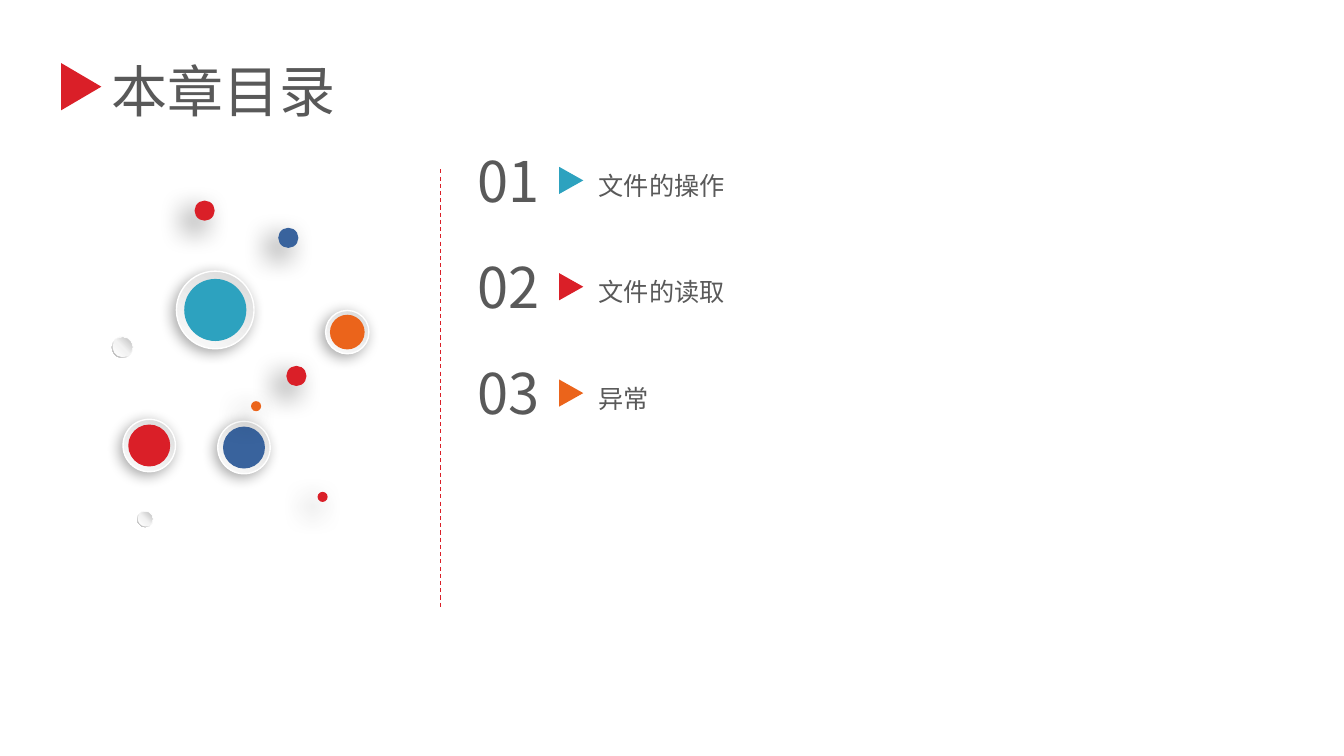
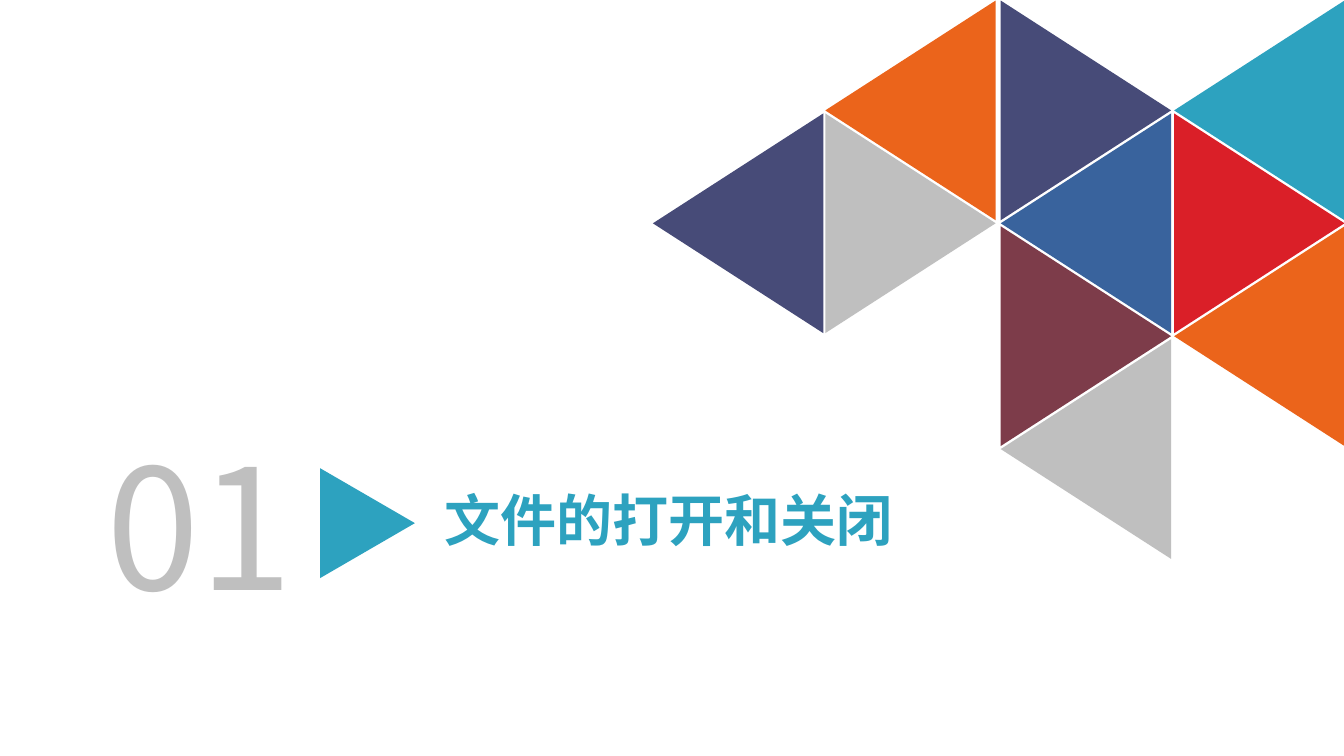
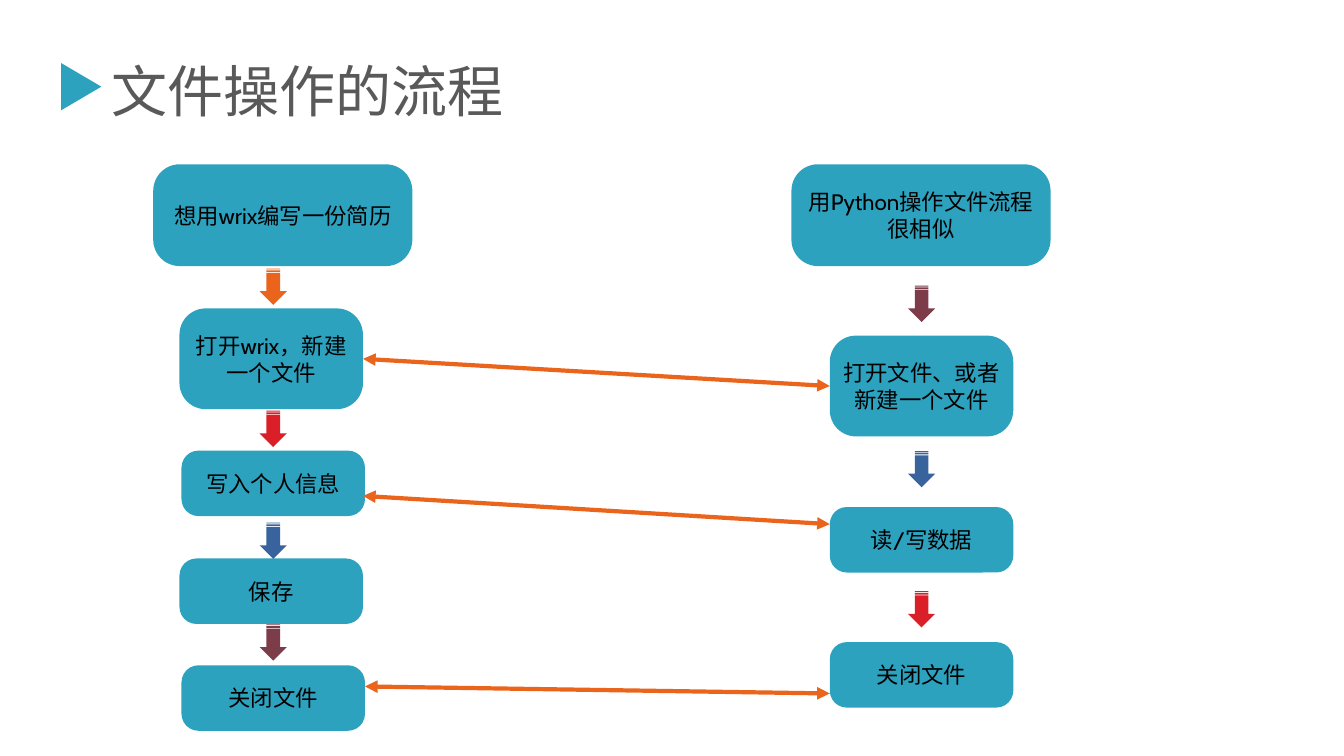
from dataclasses import dataclass
from typing import NamedTuple, Optional

from lxml.etree import SubElement
from pptx import Presentation
from pptx.dml.color import RGBColor
from pptx.enum.dml import MSO_LINE
from pptx.enum.shapes import MSO_CONNECTOR, MSO_SHAPE as Geo
from pptx.enum.text import MSO_ANCHOR as Anchor, MSO_AUTO_SIZE as Fit, PP_ALIGN as Align
from pptx.oxml.ns import qn
from pptx.util import Inches, Pt


# Theme: colours, fonts and type sizes
@dataclass(frozen=True)
class Theme:
    teal: str = "2DA2BF"
    red: str = "DA1F28"
    orange: str = "EB641B"
    blue: str = "39639D"
    navy: str = "474B78"
    wine: str = "7D3C4A"
    silver: str = "BFBFBF"
    gray: str = "595959"
    black: str = "000000"
    white: str = "FFFFFF"
    sans: str = "Noto Sans CJK SC"
    body: str = "Cabin"
    head: int = 40
    item: int = 18
    node: int = 16
    huge: int = 120


T = Theme()
RING = ((0, "D9D9D9"), (100, "FCFCFC"))
RIM = ((0, "FFFFFF"), (55, "F2F2F2"), (100, "A6A6A6"))
PEARL = ((0, "FFFFFF"), (51, "F2F2F2"), (100, "BFBFBF"))


class Shade(NamedTuple):
    alpha: int
    blur: int
    dist: int
    angle: int


class Box(NamedTuple):
    x: float
    y: float
    w: float
    h: float


class Ball(NamedTuple):
    x: float
    y: float
    size: float
    color: str


class Tile(NamedTuple):
    col: int
    row: int
    turn: int
    color: str


class Node(NamedTuple):
    box: Box
    text: str


class Step(NamedTuple):
    x: float
    y: float
    color: str


SOFT = Shade(34, 10, 3, 136)
DEEP = Shade(60, 20, 10, 135)


# Drawing helpers
def rgb(color: str) -> RGBColor:
    return RGBColor.from_string(color)


def shape(slide, geo, box: Box, color: Optional[str] = None, turn: int = 0):
    item = slide.shapes.add_shape(geo, *map(Inches, box))
    item.rotation = turn
    item.shadow.inherit = False
    item.line.fill.background()
    if color:
        item.fill.solid()
        item.fill.fore_color.rgb = rgb(color)
    return item


def blend(item, stops, angle: int) -> None:
    item.fill.gradient()
    item.fill.gradient_angle = 360 - angle
    stack = item._element.spPr.find(".//" + qn("a:gsLst"))
    stack.clear()
    for spot, color in stops:
        stop = SubElement(stack, qn("a:gs"), pos=str(spot * 1000))
        SubElement(stop, qn("a:srgbClr"), val=color)


def shade(item, look: Shade) -> None:
    glow = SubElement(
        item._element.spPr.find(qn("a:effectLst")), qn("a:outerShdw"),
        blurRad=str(Pt(look.blur)), dist=str(Pt(look.dist)),
        dir=str(look.angle * 60000), algn="ctr", rotWithShape="0")
    tint = SubElement(glow, qn("a:srgbClr"), val=T.black)
    SubElement(tint, qn("a:alpha"), val=str(look.alpha * 1000))


def write(frame, text: str, size: int, color: str, face: str = T.sans,
          bold: bool = False, align=Align.LEFT):
    frame.word_wrap = True
    para = frame.paragraphs[0]
    para.text = text
    para.alignment = align
    font = para.font
    font.size, font.bold, font.name = Pt(size), bold, face
    font.color.rgb = rgb(color)
    # East Asian glyphs need their own typeface entry
    SubElement(para._p.pPr.find(qn("a:defRPr")), qn("a:ea"), typeface=T.sans)
    return para


def label(slide, box: Box, text: str, size: int, color: str = T.gray, **style):
    frame = slide.shapes.add_textbox(*map(Inches, box)).text_frame
    para = write(frame, text, size, color, **style)
    frame.auto_size = Fit.SHAPE_TO_FIT_TEXT
    return para


def line(slide, start, end, color: str, width: float):
    rule = slide.shapes.add_connector(
        MSO_CONNECTOR.STRAIGHT, *map(Inches, (*start, *end)))
    rule.line.color.rgb = rgb(color)
    rule.line.width = Pt(width)
    SubElement(rule._element.spPr, qn("a:effectLst"))
    return rule


def play(slide, box: Box, color: str) -> None:
    shape(slide, Geo.ISOSCELES_TRIANGLE, box, color, 90)


def title(slide, text: str, width: float, color: str) -> None:
    label(slide, Box(1.01, 0.51, width, 0.77), text, T.head)
    play(slide, Box(0.57, 0.66, 0.47, 0.4), color)


# Contents slide
TOPICS = (("文件的操作", T.teal), ("文件的读取", T.red), ("异常", T.orange))
DISCS = (Ball(1.75, 2.69, 0.77, T.teal), Ball(1.22, 4.16, 0.52, T.red),
         Ball(2.16, 4.18, 0.52, T.blue), Ball(3.23, 3.08, 0.43, T.orange))
DOTS = (Ball(2.84, 3.63, 0.2, T.red), Ball(2.76, 2.26, 0.2, T.blue),
        Ball(3.15, 4.88, 0.1, T.red), Ball(1.93, 1.99, 0.2, T.red),
        Ball(2.49, 3.98, 0.1, T.orange))
BEADS = ((1.36, 5.07, 0.16), (1.11, 3.34, 0.21))


def inner(x: float, y: float, size: float, gap: float) -> Box:
    return Box(x + gap, y + gap, size - 2 * gap, size - 2 * gap)


def disc(slide, ball: Ball) -> None:
    x, y, size, color = ball
    ring = shape(slide, Geo.OVAL, Box(x, y, size, size))
    blend(ring, RING, 120)
    ring.line.color.rgb = rgb(T.white)
    ring.line.width = Pt(1)
    shade(ring, SOFT)
    shape(slide, Geo.OVAL, inner(x, y, size, size * 0.1), color)


def bead(slide, x: float, y: float, size: float) -> None:
    rim = shape(slide, Geo.DONUT, Box(x, y, size, size))
    rim.adjustments[0] = 0.05
    blend(rim, RIM, 135)
    blend(shape(slide, Geo.OVAL, inner(x, y, size, 0.01)), PEARL, 315)


def contents(slide) -> None:
    for i, (text, color) in enumerate(TOPICS):
        y = 1.4 + 1.055 * i
        play(slide, Box(5.53, y + 0.27, 0.27, 0.24), color)
        label(slide, Box(4.64, y, 0.9, 0.77), f"{i + 1:02}", T.head)
        para = label(slide, Box(5.84, y + 0.09, 4.51, 0.5), text, T.item)
        para.line_spacing = 1.5
        para.space_before = Pt(6)
    title(slide, "本章目录", 3.26, T.red)
    for ball in DISCS:
        disc(slide, ball)
    for spot in BEADS:
        bead(slide, *spot)
    for x, y, size, color in DOTS:
        shade(shape(slide, Geo.OVAL, Box(x, y, size, size), color), DEEP)
    rule = line(slide, (4.37, 1.68), (4.37, 6.04), T.red, 0.75)
    rule.line.dash_style = MSO_LINE.DASH


# Section slide
RIGHT, LEFT = 90, 270
COLS = (6.23, 7.94, 9.68, 11.4)
TILES = (
    Tile(3, 0, LEFT, T.teal), Tile(3, 1, RIGHT, T.red),
    Tile(3, 2, LEFT, T.orange), Tile(2, 0, RIGHT, T.navy),
    Tile(2, 1, LEFT, T.blue), Tile(2, 2, RIGHT, T.wine),
    Tile(1, 0, LEFT, T.orange), Tile(2, 3, LEFT, T.silver),
    Tile(1, 1, RIGHT, T.silver), Tile(0, 1, LEFT, T.navy))


def section(slide) -> None:
    for col, row, turn, color in TILES:
        box = Box(COLS[col], 0.25 + 1.12 * row, 2.18, 1.69)
        shape(slide, Geo.ISOSCELES_TRIANGLE, box, color, turn)
    label(slide, Box(4.31, 4.77, 4.73, 0.77), "文件的打开和关闭", T.head,
          T.teal, bold=True)
    label(slide, Box(0.48, 4.14, 3, 2.12), "01", T.huge, T.silver,
          align=Align.CENTER)
    play(slide, Box(3.1, 4.72, 1.09, 0.94), T.teal)


# Process slide
MANUAL = (
    Node(Box(1.52, 1.63, 2.57, 1.01), "想用wrix编写一份简历"),
    Node(Box(1.78, 3.06, 1.82, 1), "打开wrix，新建一个文件"),
    Node(Box(1.8, 4.47, 1.82, 0.65), "写入个人信息"),
    Node(Box(1.78, 5.54, 1.82, 0.65), "保存"),
    Node(Box(1.8, 6.6, 1.82, 0.65), "关闭文件"))
CODED = (
    Node(Box(7.85, 1.63, 2.57, 1.01), "用Python操作文件流程很相似"),
    Node(Box(8.23, 3.33, 1.82, 1), "打开文件、或者新建一个文件"),
    Node(Box(8.23, 5.03, 1.82, 0.65), "读/写数据"),
    Node(Box(8.23, 6.37, 1.82, 0.65), "关闭文件"))
STEPS = (
    Step(2.53, 2.71, T.orange), Step(2.53, 4.12, T.red),
    Step(2.53, 5.23, T.blue), Step(2.53, 6.24, T.wine),
    Step(8.96, 2.88, T.wine), Step(8.96, 4.52, T.blue),
    Step(8.96, 5.91, T.red))
LINKS = (((3.6, 3.56), (8.23, 3.83)), ((3.6, 4.92), (8.23, 5.2)),
         ((3.62, 6.81), (8.23, 6.88)))


def block(slide, node: Node):
    item = shape(slide, Geo.ROUNDED_RECTANGLE, node.box, T.teal)
    item.adjustments[0] = 0.26
    frame = item.text_frame
    frame.margin_left = frame.margin_right = Inches(0.03)
    frame.margin_top = frame.margin_bottom = Inches(0.03)
    frame.vertical_anchor = Anchor.MIDDLE
    write(frame, node.text, T.node, T.black, T.body, align=Align.CENTER)
    return item


def link(slide, start, end):
    arrow = line(slide, start, end, T.orange, 3)
    stroke = arrow.line._get_or_add_ln()
    for tip in ("a:headEnd", "a:tailEnd"):
        SubElement(stroke, qn(tip), type="triangle")
    return arrow


def process(slide) -> None:
    title(slide, "文件操作的流程", 4.27, T.teal)
    manual = [block(slide, node) for node in MANUAL]
    coded = [block(slide, node) for node in CODED]
    for x, y, color in STEPS:
        shape(slide, Geo.STRIPED_RIGHT_ARROW, Box(x, y, 0.36, 0.27), color, 90)
    arrows = [link(slide, *ends) for ends in LINKS]
    # Only the first link meets the middle of both sides
    arrows[0].begin_connect(manual[1], 3)
    arrows[0].end_connect(coded[1], 1)


def main() -> None:
    deck = Presentation()
    deck.slide_width, deck.slide_height = Inches(13.33), Inches(7.5)
    for draw in (contents, section, process):
        draw(deck.slides.add_slide(deck.slide_layouts[6]))
    deck.save("out.pptx")


if __name__ == "__main__":
    main()
